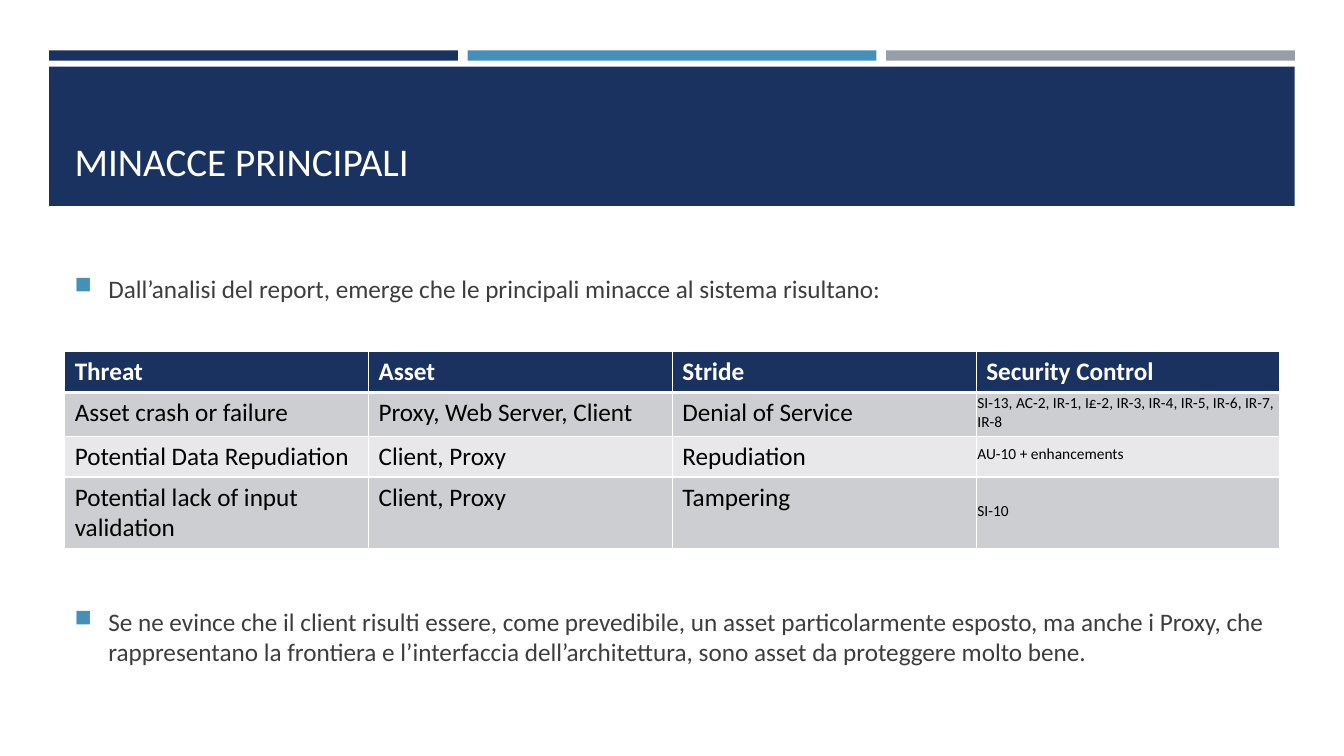
import pptx
import pptx.util
import pptx.dml.color
import pptx.enum.shapes
import pptx.enum.text
import pptx.oxml
import pptx.oxml.ns
from pptx.util import Cm, Pt
from lxml import etree

RGBColor = pptx.dml.color.RGBColor
ANCHOR = pptx.enum.text.MSO_ANCHOR

NAVY = RGBColor(0x1A, 0x32, 0x60)
BLUE = RGBColor(0x45, 0x90, 0xB8)
GREY = RGBColor(0x96, 0x9F, 0xA7)
WHITE = RGBColor(0xFF, 0xFF, 0xFF)
BLACK = RGBColor(0, 0, 0)
TEXT = RGBColor(0x3D, 0x3D, 0x3D)
BANDS = [RGBColor(0xCD, 0xCE, 0xD2), RGBColor(0xE8, 0xE8, 0xEA)]
FONT = "Calibri"

THREATS = [
    ["Threat", "Asset", "Stride", "Security Control"],
    ["Asset crash or failure", "Proxy, Web Server, Client", "Denial of Service",
     "SI-13, AC-2, IR-1, I£-2, IR-3, IR-4, IR-5, IR-6, IR-7, IR-8"],
    ["Potential Data Repudiation", "Client, Proxy", "Repudiation",
     "AU-10 + enhancements"],
    ["Potential lack of input validation", "Client, Proxy", "Tampering", "SI-10"],
]
ROW_HEIGHTS = [Cm(1.03), Cm(1.1), Cm(1.03), Cm(1.8)]


def set_font(p, size, color, bold=False):
    p.font.name = FONT
    p.font.size = Pt(size)
    p.font.bold = bold
    p.font.color.rgb = color


def add_rect(s, x, y, w, h, color):
    sp = s.shapes.add_shape(pptx.enum.shapes.MSO_SHAPE.RECTANGLE, x, y, w, h)
    sp.shadow.inherit = False
    sp.fill.solid()
    sp.fill.fore_color.rgb = color
    sp.line.fill.background()


def add_text(s, x, y, w, h, text, size, color, anchor):
    tf = s.shapes.add_textbox(x, y, w, h).text_frame
    tf.word_wrap = True
    tf.vertical_anchor = anchor
    p = tf.paragraphs[0]
    p.text = text
    set_font(p, size, color)
    return p


def add_header(s, x, y, w, title):
    # Three accent bars over the title banner
    gap = Cm(0.25)
    bar_w = (w - 2 * gap) // 3
    for i, color in enumerate([NAVY, BLUE, GREY]):
        add_rect(s, x + i * (bar_w + gap), y, bar_w, Cm(0.26), color)
    add_rect(s, x, y + Cm(0.41), w, Cm(3.51), NAVY)
    add_text(s, x + Cm(0.39), y + Cm(0.76), w - Cm(0.78), Cm(2.74),
             title, 28, WHITE, ANCHOR.BOTTOM)


def add_bullet(s, x, y, w, h, text):
    p = add_text(s, x, y, w, h, text, 18, TEXT, ANCHOR.MIDDLE)
    p.space_before = Pt(4)
    p.space_after = Pt(6)
    pPr = p._p.get_or_add_pPr()
    pPr.set("marL", str(Cm(0.85)))
    pPr.set("indent", str(-Cm(0.85)))
    ns = pptx.oxml.ns.nsdecls("a")
    defaults = pPr.find(pptx.oxml.ns.qn("a:defRPr"))
    for xml in (f'<a:buClr {ns}><a:srgbClr val="{BLUE}"/></a:buClr>',
                f'<a:buSzPct {ns} val="92000"/>',
                f'<a:buChar {ns} char="■"/>'):
        defaults.addprevious(pptx.oxml.parse_xml(xml))


def set_borders(cell, widths):
    tcPr = cell._tc.get_or_add_tcPr()
    for i, (side, width) in enumerate(widths.items()):
        ln = etree.Element(pptx.oxml.ns.qn(f"a:ln{side}"), w=str(Pt(width)))
        fill = etree.SubElement(ln, pptx.oxml.ns.qn("a:solidFill"))
        etree.SubElement(fill, pptx.oxml.ns.qn("a:srgbClr"), val=str(WHITE))
        tcPr.insert(i, ln)


def add_threat_table(s, x, y, w):
    n_rows, n_cols = len(THREATS), len(THREATS[0])
    table = s.shapes.add_table(n_rows, n_cols, x, y, w, sum(ROW_HEIGHTS)).table
    for col in table.columns:
        col.width = w // n_cols
    for i, row in enumerate(THREATS):
        table.rows[i].height = ROW_HEIGHTS[i]
        header = i == 0
        for j, text in enumerate(row):
            cell = table.cell(i, j)
            cell.fill.solid()
            cell.fill.fore_color.rgb = NAVY if header else BANDS[(i - 1) % 2]
            set_borders(cell, {"L": 1, "R": 1, "T": 3 if i == 1 else 1,
                               "B": 3 if header else 1})
            p = cell.text_frame.paragraphs[0]
            p.text = text
            # Control codes are small and tight to the cell edge
            codes = not header and j == n_cols - 1
            set_font(p, 11 if codes else 18, WHITE if header else BLACK, header)
            if codes:
                cell.vertical_anchor = ANCHOR.MIDDLE
                cell.margin_left = cell.margin_right = cell.margin_top = Cm(0.03)
                cell.margin_bottom = Cm(0.13)


def main():
    prs = pptx.Presentation()
    prs.slide_width, prs.slide_height = Cm(33.87), Cm(19.05)
    s = prs.slides.add_slide(prs.slide_layouts[6])
    left, width = Cm(1.63), Cm(30.63)
    add_header(s, Cm(1.24), Cm(1.27), Cm(31.39), "MINACCE PRINCIPALI")
    add_bullet(s, left, Cm(5), width, Cm(4.52),
               "Dall’analisi del report, emerge che le principali minacce "
               "al sistema risultano:")
    add_threat_table(s, left, Cm(8.86), width)
    add_bullet(s, left, Cm(13.77), width, Cm(4.52),
               "Se ne evince che il client risulti essere, come prevedibile, un asset "
               "particolarmente esposto, ma anche i Proxy, che rappresentano la frontiera "
               "e l’interfaccia dell’architettura, sono asset da proteggere molto bene.")
    prs.save("out.pptx")


if __name__ == "__main__":
    main()
